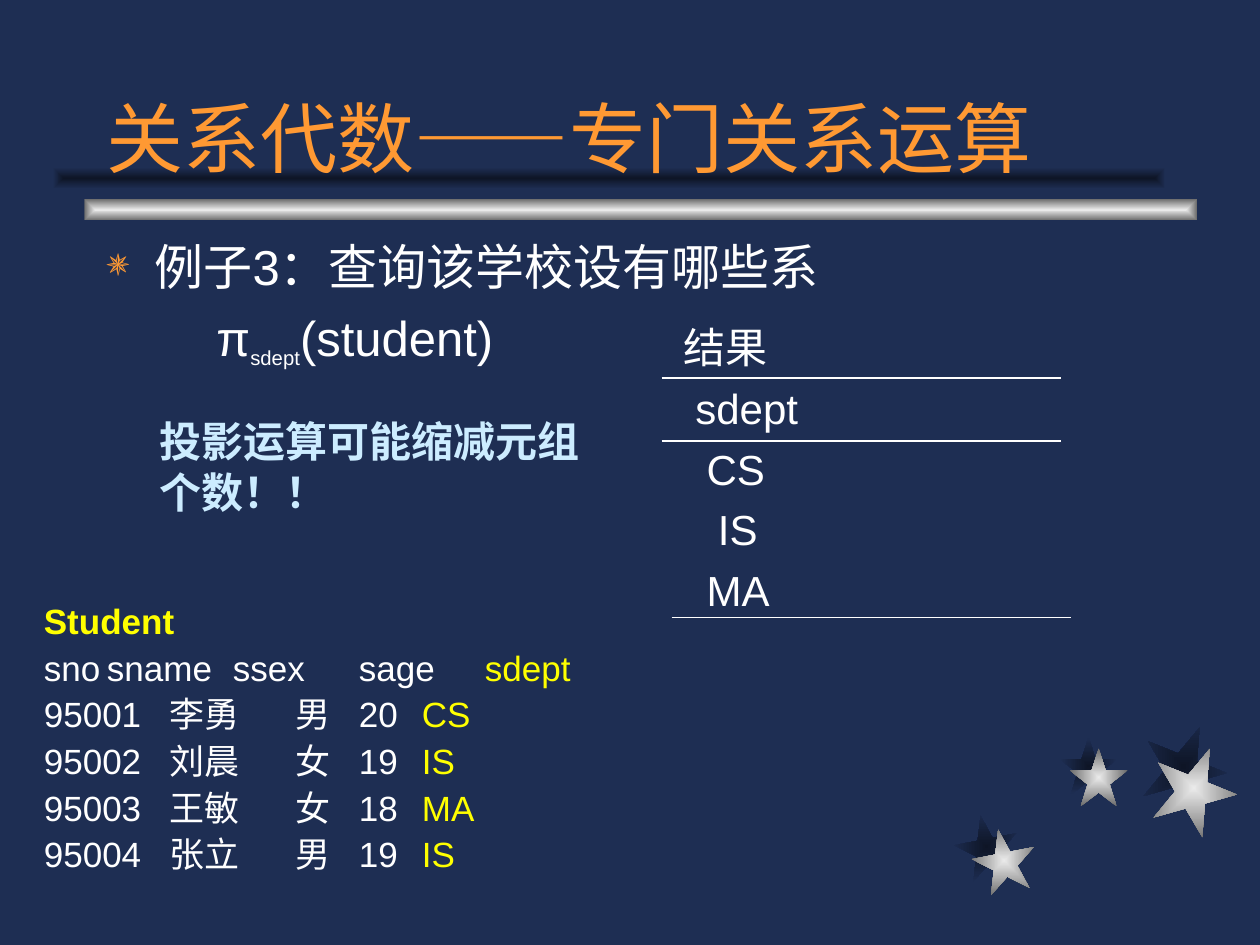
from lxml import etree
from pptx import Presentation
from pptx import util as u
from pptx.dml.color import RGBColor
from pptx.enum import shapes, text
from pptx.oxml.ns import qn

COLORS = {
    "navy": "1E2E53", "shade": "0E1526", "silver": "EAEAEA", "steel": "6C6C6C",
    "orange": "FF9933", "white": "FFFFFF", "ice": "CCECFF", "yellow": "FFFF00",
}
SILVER = ("silver", "steel")
SHADOW = ("shade", "navy")
STAR = [(0, 0.38), (0.38, 0.38), (0.5, 0), (0.62, 0.38), (1, 0.38),
        (0.69, 0.62), (0.81, 1), (0.5, 0.76), (0.19, 1), (0.31, 0.62)]


def rgb(name):
    return RGBColor.from_string(COLORS[name])


class SlideBuilder:
    def __init__(self, slide, font="Arial"):
        self.slide = slide
        self.font = font
        slide.background.fill.solid()
        slide.background.fill.fore_color.rgb = rgb("navy")

    def finish(self, shape, gradient):
        shape.shadow.inherit = False
        shape.line.fill.background()
        shape.fill.gradient()
        for stop, color in zip(shape.fill.gradient_stops, gradient):
            stop.color.rgb = rgb(color)
        fill = shape.element.spPr.find(qn("a:gradFill"))
        fill.remove(fill.find(qn("a:lin")))
        route = etree.SubElement(fill, qn("a:path"), path="rect")
        etree.SubElement(route, qn("a:fillToRect"), l="50000", t="50000", r="50000", b="50000")

    def bar(self, left, top, gradient):
        shape = self.slide.shapes.add_shape(
            shapes.MSO_SHAPE.RECTANGLE, u.Inches(left), u.Inches(top), u.Inches(8.83), u.Inches(0.17))
        self.finish(shape, gradient)

    def star(self, left, top, size, rotation, gradient):
        points = [(u.Inches(left + x * size), u.Inches(top + y * size)) for x, y in STAR]
        builder = self.slide.shapes.build_freeform(*points[0])
        builder.add_line_segments(points[1:], close=True)
        shape = builder.convert_to_shape()
        shape.rotation = rotation
        self.finish(shape, gradient)

    def rule(self, left, top):
        line = self.slide.shapes.add_connector(
            shapes.MSO_CONNECTOR.STRAIGHT, u.Inches(left), u.Inches(top), u.Inches(left + 3.17), u.Inches(top))
        line.line.color.rgb = rgb("white")
        line.line.width = u.Pt(1)
        etree.SubElement(line.element.spPr, qn("a:effectLst"))

    def text_box(self, left, top, width, height):
        shape = self.slide.shapes.add_textbox(*map(u.Inches, (left, top, width, height)))
        shape.text_frame.word_wrap = True
        return shape.text_frame

    def paragraph(self, frame, runs, size, first=False, before=0, indent=0, hanging=0,
                  spacing=None, bullet=None, tabs=()):
        paragraph = frame.paragraphs[0] if first else frame.add_paragraph()
        properties = paragraph._p.get_or_add_pPr()
        properties.set("marL", str(u.Inches(indent)))
        properties.set("indent", str(u.Inches(-hanging)))
        if bullet:
            color = etree.SubElement(properties, qn("a:buClr"))
            etree.SubElement(color, qn("a:srgbClr"), val=COLORS["orange"])
            etree.SubElement(properties, qn("a:buSzPct"), val="80000")
            etree.SubElement(properties, qn("a:buChar"), char=bullet)
        if tabs:
            stops = etree.SubElement(properties, qn("a:tabLst"))
            for stop in tabs:
                etree.SubElement(stops, qn("a:tab"), pos=str(u.Inches(stop)), algn="l")
        if spacing:
            paragraph.line_spacing = spacing
        if not first:
            paragraph.space_before = u.Pt(before)
        for content, color in runs:
            run = paragraph.add_run()
            run.text = content
            run.font.name = self.font
            run.font.size = u.Pt(size)
            run.font.color.rgb = rgb(color)
        return paragraph


def main():
    presentation = Presentation()
    presentation.slide_width, presentation.slide_height = u.Inches(10), u.Inches(7.5)
    page = SlideBuilder(presentation.slides.add_slide(presentation.slide_layouts[6]))

    for gradient, places in (
        (SHADOW, [(7.58, 6.47), (8.41, 5.85), (9.06, 5.75)]),
        (SILVER, [(7.72, 6.58), (8.49, 5.94), (9.14, 5.92)]),
    ):
        for (left, top), size, rotation in zip(places, (0.5, 0.46, 0.67), (349, 0, 22)):
            page.star(left, top, size, rotation, gradient)
    page.bar(0.67, 1.58, SILVER)
    page.bar(0.42, 1.33, SHADOW)

    title = page.text_box(0.75, 0.25, 8.5, 1.25)
    title.vertical_anchor = text.MSO_ANCHOR.BOTTOM
    heading = page.paragraph(title, [("关系代数——", "orange"), ("专门关系运算", "orange")], 44, first=True)
    heading.runs[0].font.name = "Times New Roman"

    example = page.text_box(0.75, 1.83, 8.5, 1.33)
    page.paragraph(example, [("例子3：查询该学校设有哪些系", "white")], 28,
                   first=True, indent=0.38, hanging=0.38, bullet="✵")
    formula = page.paragraph(
        example, [(part, "white") for part in ("π", "sdept", "(student)")], 28, before=7, indent=0.87)
    subscript = formula.runs[1].font
    subscript.size = u.Pt(20)
    subscript._element.set("baseline", "-25000")

    result = page.text_box(5.33, 2.5, 3.33, 2.58)
    for row, (label, step) in enumerate([("结果", 0), ("sdept", 1), ("CS", 2), ("IS", 3), ("MA", 2)]):
        page.paragraph(result, [(label, "white")], 24, first=row == 0, before=6, indent=step * 0.09)
    for left, top in ((5.25, 3), (5.25, 3.5), (5.33, 4.9)):
        page.rule(left, top)

    remark = page.text_box(1.17, 3.25, 3.58, 0.9)
    remark.auto_size = text.MSO_AUTO_SIZE.SHAPE_TO_FIT_TEXT
    warning = page.paragraph(remark, [("投影运算可能缩减元组个数！！", "ice")], 24, first=True)
    warning.runs[0].font.name = "Times New Roman"
    warning.runs[0].font.bold = True

    student = page.text_box(0.25, 4.75, 5.33, 2.33)
    name = page.paragraph(student, [("Student", "yellow")], 20, first=True, spacing=0.9)
    name.runs[0].font.bold = True
    header_tabs = (0.83, 1.83, 2.55, 3.31)
    record_tabs = (1, 1.93, 2.64, 3.42)
    rows = [
        ("sno", "sname", "ssex", "sage", "sdept"),
        ("95001", "李勇", "男", "20", "CS"),
        ("95002", "刘晨", "女", "19", "IS"),
        ("95003", "王敏", "女", "18", "MA"),
        ("95004", "张立", "男", "19", "IS"),
    ]
    for index, (*fields, department) in enumerate(rows):
        page.paragraph(student, [("\t".join(fields) + "\t", "white"), (department, "yellow")], 20,
                       before=5, spacing=0.9, tabs=record_tabs if index else header_tabs)

    presentation.save("out.pptx")


if __name__ == "__main__":
    main()
